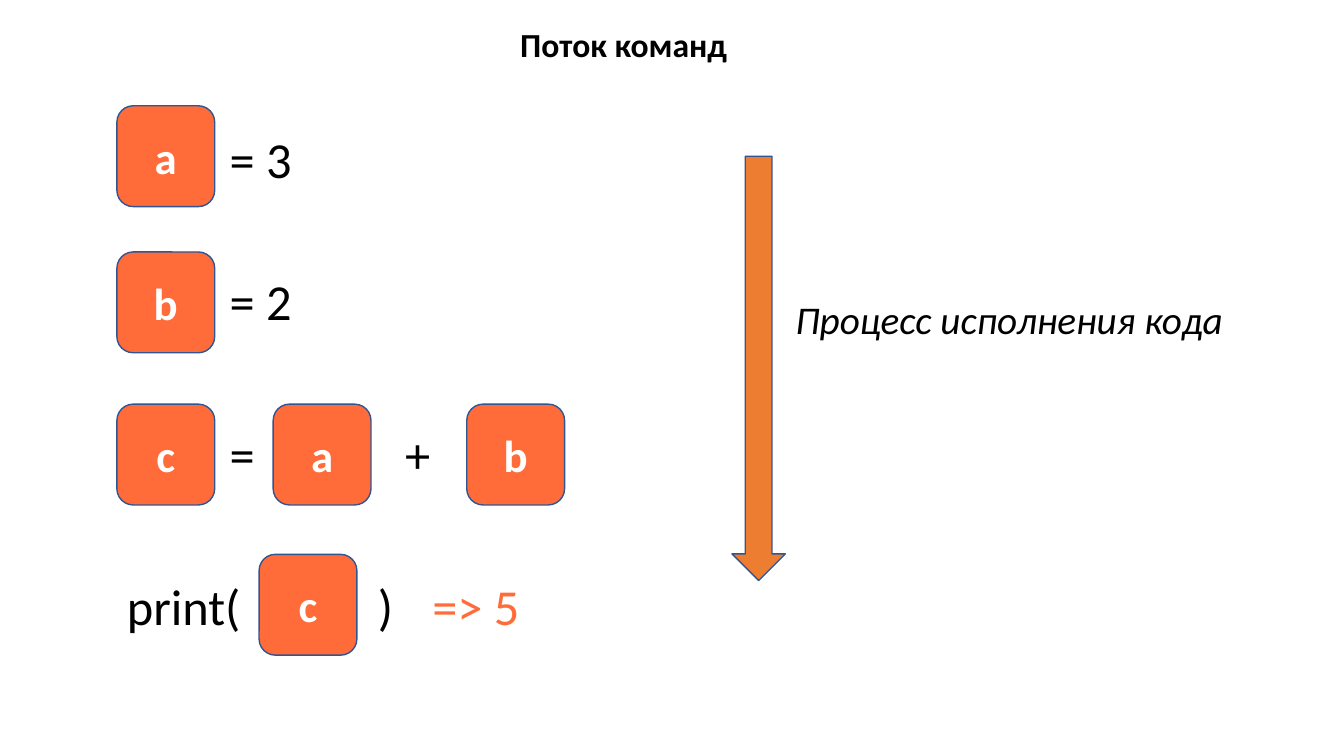
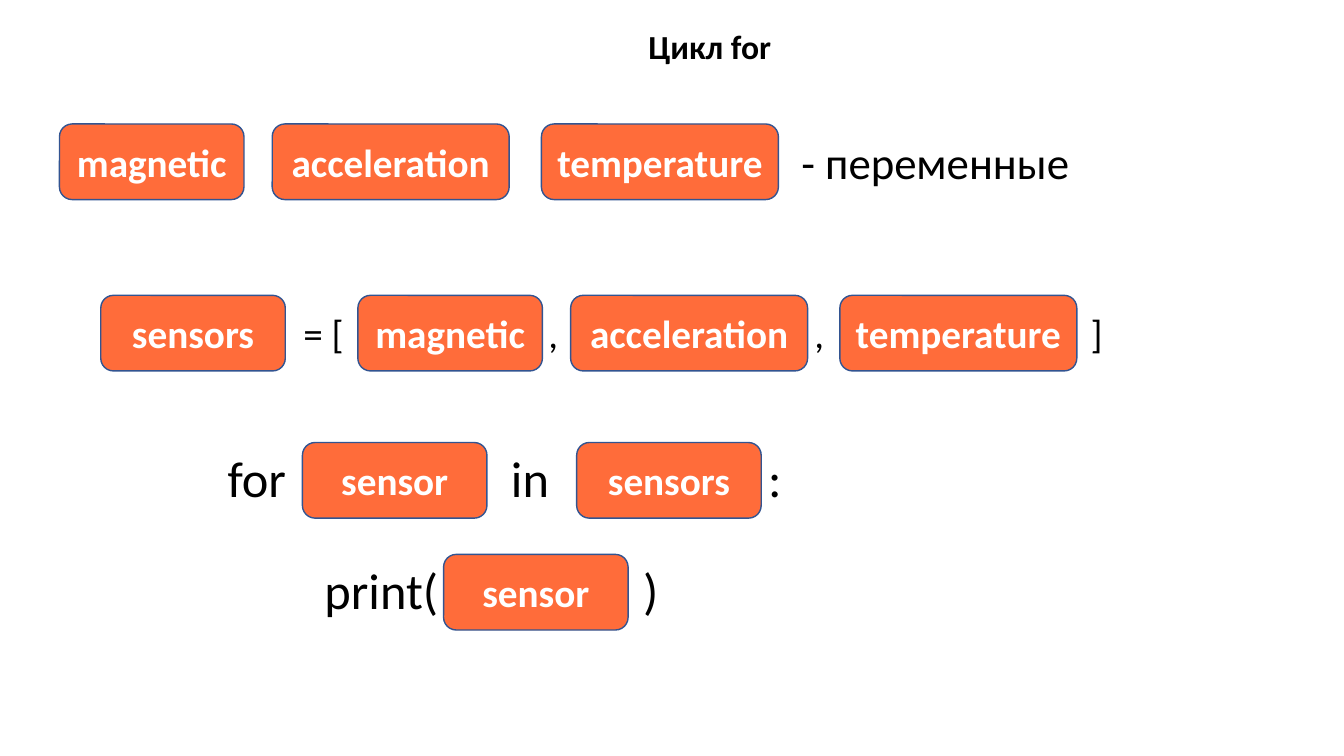
from dataclasses import dataclass

from pptx import Presentation
from pptx.dml import color
from pptx.enum import shapes, text
from pptx.util import Inches, Pt

FONT = "Calibri"
BLACK = "000000"
WHITE = "FFFFFF"
CORAL = "FF6C3A"
ORANGE = "ED7D31"
OUTLINE = "325491"


@dataclass(frozen=True)
class Variable:
    name: str
    left: float
    top: float
    width: float = 1.83
    height: float = 0.75
    size: int = 28


@dataclass(frozen=True)
class Label:
    wording: str
    left: float
    top: float
    width: float = 0.6
    height: float = 0.71
    size: int = 36
    colour: str = BLACK
    italic: bool = False


def rgb(colour: str) -> color.RGBColor:
    return color.RGBColor.from_string(colour)


def write(shape, wording: str, size: int, colour: str, bold: bool = False,
          italic: bool = False, align=text.PP_ALIGN.LEFT, anchor=text.MSO_ANCHOR.TOP) -> None:
    frame = shape.text_frame
    frame.text = wording
    frame.word_wrap = True
    frame.auto_size = text.MSO_AUTO_SIZE.NONE
    frame.vertical_anchor = anchor
    para = frame.paragraphs[0]
    para.alignment = align
    for span in para.runs:
        span.font.name = FONT
        span.font.size = Pt(size)
        span.font.bold = bold
        span.font.italic = italic
        span.font.color.rgb = rgb(colour)


def add_page(deck, title: str, left: float, top: float, width: float):
    page = deck.slides.add_slide(deck.slide_layouts[5])
    box = page.shapes.title
    box.left, box.top = Inches(left), Inches(top)
    box.width, box.height = Inches(width), Inches(0.5)
    write(box, title, 24, BLACK, bold=True)
    return page


def draw_shape(page, kind, left: float, top: float, width: float, height: float, fill: str):
    shape = page.shapes.add_shape(kind, Inches(left), Inches(top), Inches(width), Inches(height))
    shape.shadow.inherit = False
    shape.fill.solid()
    shape.fill.fore_color.rgb = rgb(fill)
    shape.line.color.rgb = rgb(OUTLINE)
    shape.line.width = Pt(1)
    return shape


def draw_variable(page, item: Variable) -> None:
    shape = draw_shape(page, shapes.MSO_SHAPE.ROUNDED_RECTANGLE,
                       item.left, item.top, item.width, item.height, CORAL)
    write(shape, item.name, item.size, WHITE, bold=True,
          align=text.PP_ALIGN.CENTER, anchor=text.MSO_ANCHOR.MIDDLE)


def draw_label(page, item: Label) -> None:
    box = page.shapes.add_textbox(Inches(item.left), Inches(item.top),
                                  Inches(item.width), Inches(item.height))
    write(box, item.wording, item.size, item.colour, italic=item.italic)


def draw_all(page, labels: list[Label], variables: list[Variable]) -> None:
    for label in labels:
        draw_label(page, label)
    for variable in variables:
        draw_variable(page, variable)


def square(name: str, left: float, top: float) -> Variable:
    return Variable(name, left, top, width=0.97, height=1, size=32)


def sensor_row(left: float, top: float) -> list[Variable]:
    return [
        Variable("magnetic", left, top),
        Variable("acceleration", left + 2.11, top, width=2.35),
        Variable("temperature", left + 4.78, top, width=2.35),
    ]


def build_command_flow(deck) -> None:
    page = add_page(deck, "Поток команд", 5.06, 0.19, 4.41)
    draw_shape(page, shapes.MSO_SHAPE.DOWN_ARROW, 7.26, 1.55, 0.53, 4.21, ORANGE)
    labels = [
        Label("Процесс исполнения кода", 7.79, 2.88, 4.64, 0.57, 28, italic=True),
        Label("= 3", 2.18, 1.22, 3),
        Label("= 2", 2.18, 2.63, 3),
        Label("=", 2.18, 4.15, 0.47),
        Label("+", 3.92, 4.15, 0.47),
        Label("print(", 1.16, 5.66, 1.4),
        Label(")", 3.65, 5.66, 0.5),
        Label("=> 5", 4.19, 5.66, 3, colour=CORAL),
    ]
    variables = [
        square("a", 1.16, 1.05),
        square("b", 1.16, 2.5),
        square("c", 1.16, 4.01),
        square("a", 2.71, 4.01),
        square("b", 4.63, 4.01),
        square("c", 2.57, 5.5),
    ]
    draw_all(page, labels, variables)


def build_for_loop(deck) -> None:
    page = add_page(deck, "Цикл for", 6.33, 0.21, 1.52)
    list_marks = [("= [", 2.91), (",", 5.34), (",", 7.98), ("]", 10.72)]
    labels = [Label(mark, left, 3.02, 0.7, 0.57, 28) for mark, left in list_marks]
    labels += [
        Label("- переменные", 7.85, 1.29, 3.57, 0.64, 32),
        Label("for", 2.16, 4.39, 0.84),
        Label("in", 4.97, 4.39),
        Label(":", 7.52, 4.39),
        Label("print(", 3.12, 5.5, 1.4),
        Label(")", 6.28, 5.5),
    ]
    variables = sensor_row(0.59, 1.23) + sensor_row(3.55, 2.93) + [
        Variable("sensors", 1, 2.93),
        Variable("sensor", 3, 4.39),
        Variable("sensors", 5.72, 4.39),
        Variable("sensor", 4.4, 5.5),
    ]
    draw_all(page, labels, variables)


def main() -> None:
    deck = Presentation()
    deck.slide_width = Inches(13.33)
    deck.slide_height = Inches(7.5)
    build_command_flow(deck)
    build_for_loop(deck)
    deck.save("out.pptx")


if __name__ == "__main__":
    main()
